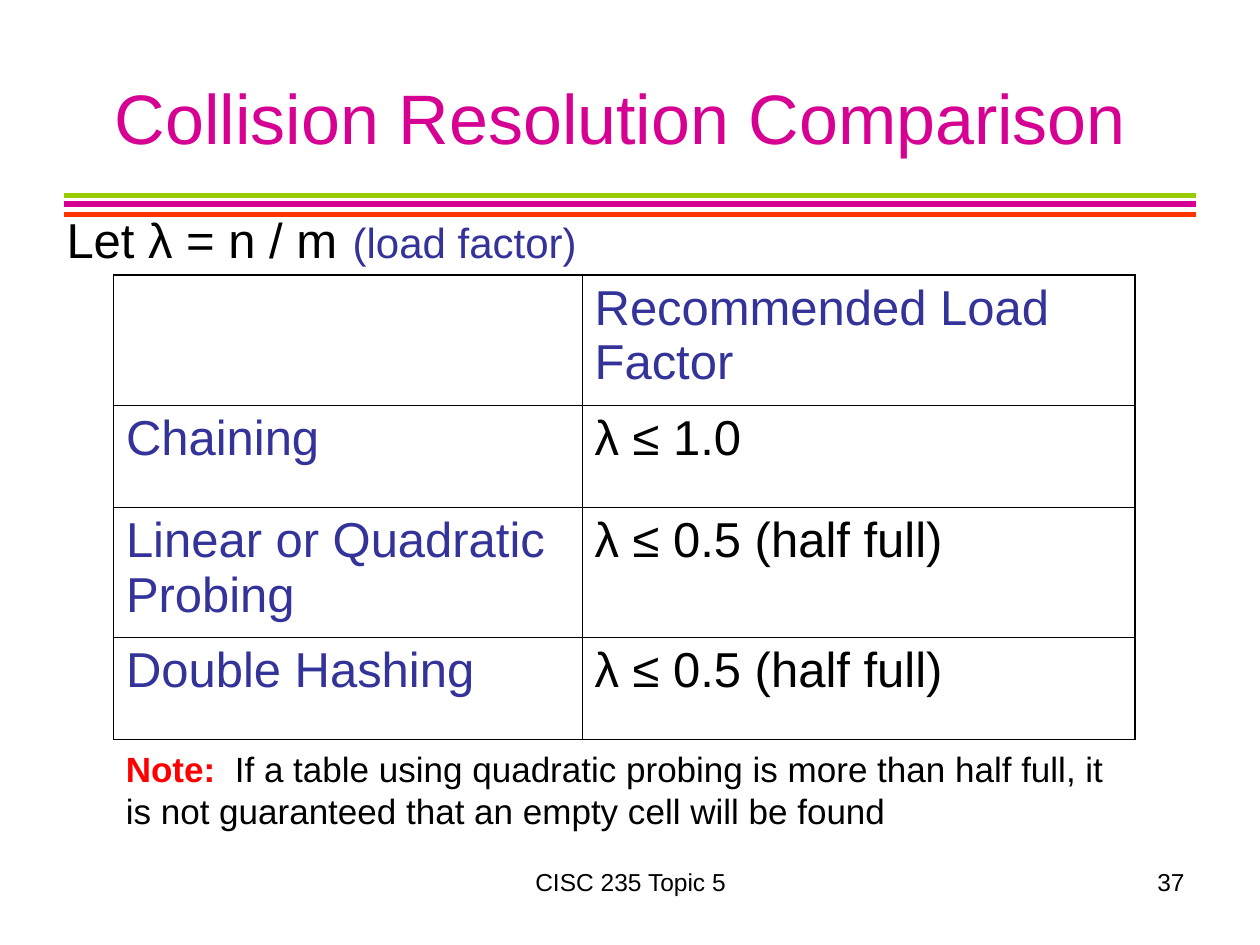
from dataclasses import dataclass

from lxml import etree
from pptx import Presentation
from pptx.dml.color import RGBColor
from pptx.enum import shapes, text
from pptx.oxml import ns
from pptx.util import Inches, Pt


@dataclass(frozen=True)
class Theme:
    font: str = "Arial"
    black: str = "000000"
    magenta: str = "D60093"
    green: str = "99CC00"
    orange: str = "FF3300"
    blue: str = "333399"
    red: str = "FF0000"
    title: int = 40
    space: int = 32
    body: int = 28
    label: int = 24
    note: int = 20
    footer: int = 14
    rule: float = 3
    outer: float = 1.08
    inner: float = 0.45


T = Theme()


def rgb(value):
    return RGBColor.from_string(value)


def sub(parent, tag, **attrs):
    return etree.SubElement(parent, ns.qn(tag), attrs)


def write(p, runs, **fmt):
    """Fill a paragraph with (text, size, colour, bold) runs."""
    for name, value in fmt.items():
        setattr(p, name, value)
    for words, size, colour, bold in runs:
        r = p.add_run()
        r.text = words
        r.font.color.rgb = rgb(colour)
        values = {"name": T.font, "size": Pt(size), "bold": bold}
        for name, value in values.items():
            setattr(r.font, name, value)


def add_text(s, box, runs, frame=None, **fmt):
    sp = s.shapes.add_textbox(*map(Inches, box))
    tf = sp.text_frame
    for name, value in {"word_wrap": True, **(frame or {})}.items():
        setattr(tf, name, value)
    write(tf.paragraphs[0], runs, **fmt)
    return tf.paragraphs[0]


def add_rule(s, y, colour):
    sp = s.shapes.add_connector(shapes.MSO_CONNECTOR.STRAIGHT, Inches(0.51),
                                Inches(y), Inches(9.49), Inches(y))
    sp.line.color.rgb = rgb(colour)
    sp.line.width = Pt(T.rule)
    sub(sp._element.spPr, "a:effectLst")


def set_borders(cell, outer_sides):
    """Draw the four borders, heavier on the table's outer sides."""
    tc_pr = cell._tc.get_or_add_tcPr()
    for i, side in enumerate("LRTB"):
        width = T.outer if side in outer_sides else T.inner
        ln = etree.Element(ns.qn(f"a:ln{side}"), w=str(Pt(width)))
        sub(sub(ln, "a:solidFill"), "a:srgbClr", val=T.black)
        tc_pr.insert(i, ln)


def add_table(s, rows, widths, heights):
    sp = s.shapes.add_table(len(rows), len(widths), Inches(0.9), Inches(2.18),
                            Inches(sum(widths)), Inches(sum(heights)))
    table = sp.table
    table.first_row = table.horz_banding = False
    for column, width in zip(table.columns, widths):
        column.width = Inches(width)
    for i, (row, height) in enumerate(zip(rows, heights)):
        table.rows[i].height = Inches(height)
        for j, words in enumerate(row):
            cell = table.cell(i, j)
            cell.fill.background()
            colour = T.black if i and j else T.blue
            if words:
                write(cell.text_frame.paragraphs[0],
                      [(words, T.body, colour, False)], space_before=Pt(7))
            sides = "R" if j else "L"
            sides += {0: "T", len(rows) - 1: "B"}.get(i, "")
            set_borders(cell, sides)


def main():
    prs = Presentation()
    prs.slide_width, prs.slide_height = Inches(10), Inches(7.5)
    s = prs.slides.add_slide(prs.slide_layouts[6])

    # Coloured rules under the title
    for y, colour in ((1.62, T.magenta), (1.7, T.orange), (1.55, T.green)):
        add_rule(s, y, colour)

    # Footer and page number
    align = text.PP_ALIGN
    add_text(s, (3.42, 6.83, 3.17, 0.52),
             [("CISC 235 Topic 5", T.footer, T.black, False)],
             alignment=align.CENTER)
    add_text(s, (7.17, 6.83, 2.33, 0.52),
             [("37", T.footer, T.black, False)], alignment=align.RIGHT)

    # Title
    add_text(s, (0.5, 0.3, 9, 1.25),
             [("Collision Resolution Comparison ", T.title, T.magenta, False)],
             {"vertical_anchor": text.MSO_ANCHOR.MIDDLE},
             alignment=align.CENTER)

    # Definition of the load factor, with a hanging indent
    p = add_text(s, (0.43, 1.62, 8.83, 0.9),
                 [("Let λ = n / m", T.body, T.black, False),
                  (" ", T.space, T.blue, False),
                  ("(load factor)", T.label, T.blue, False)],
                 line_spacing=0.9, space_before=Pt(6))
    p_pr = p._p.get_or_add_pPr()
    p_pr.set("marL", str(Inches(0.38)))
    p_pr.set("indent", str(Inches(-0.38)))

    # Comparison table
    rows = [("", "Recommended Load Factor"),
            ("Chaining", "λ ≤ 1.0"),
            ("Linear or Quadratic Probing", "λ ≤ 0.5 (half full)"),
            ("Double Hashing", "λ ≤ 0.5 (half full)")]
    add_table(s, rows, (3.72, 4.39), (1.03, 0.81) * 2)

    # Note below the table
    add_text(s, (0.9, 5.88, 8.19, 0.77),
             [("Note:  ", T.note, T.red, True),
              ("If a table using quadratic probing is more than half full, "
               "it is not guaranteed that an empty cell will be found",
               T.note, T.black, False)],
             {"auto_size": text.MSO_AUTO_SIZE.SHAPE_TO_FIT_TEXT},
             space_before=Pt(12.5))

    prs.save("out.pptx")


if __name__ == "__main__":
    main()
